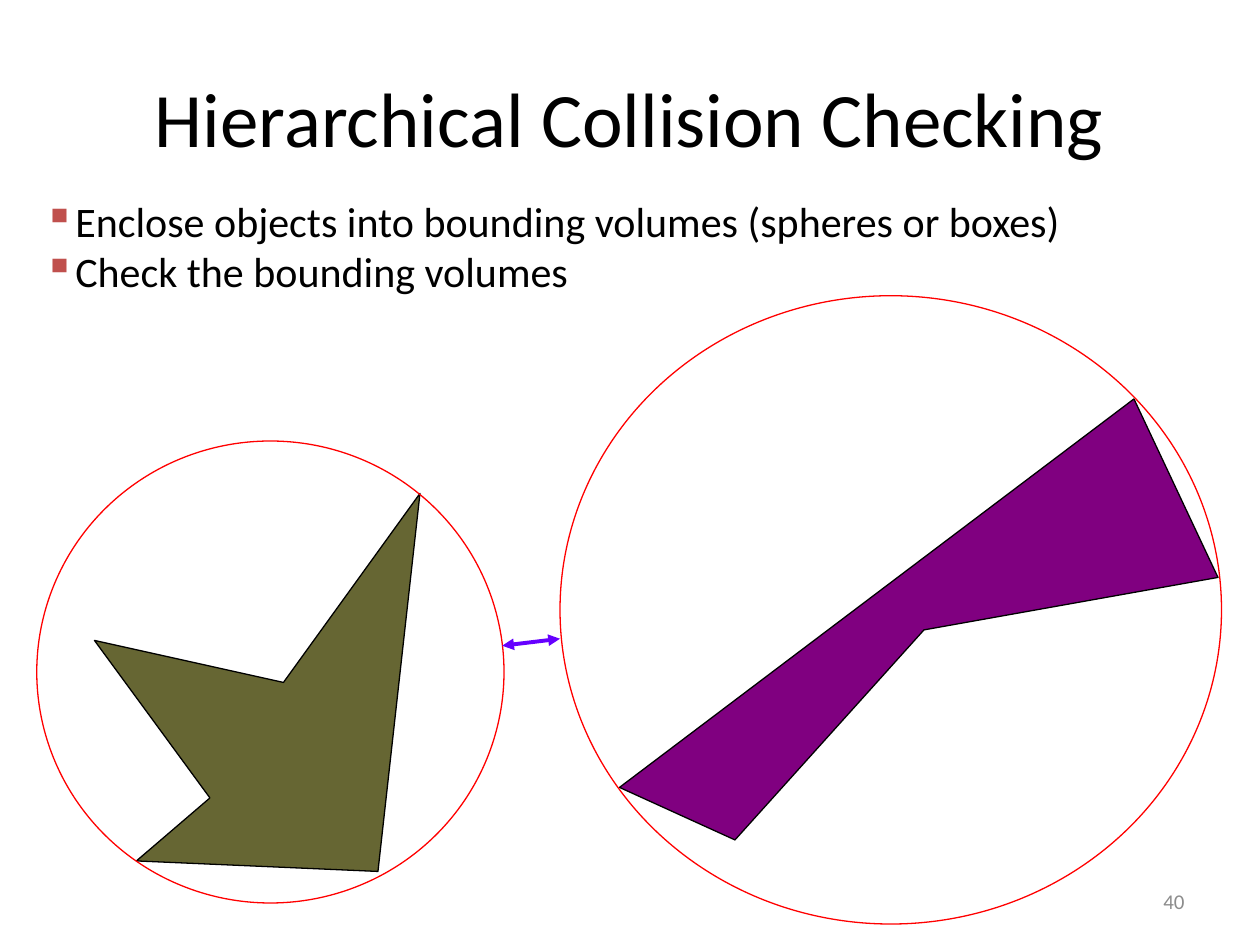
from dataclasses import dataclass

from lxml import etree
from pptx import Presentation
from pptx.dml.color import RGBColor
from pptx.enum.shapes import MSO_CONNECTOR, MSO_SHAPE
from pptx.enum.text import MSO_ANCHOR, PP_ALIGN
from pptx.oxml.ns import qn
from pptx.util import Pt

OVAL = MSO_SHAPE.OVAL
LINE = MSO_CONNECTOR.STRAIGHT
TOP, MID = MSO_ANCHOR.TOP, MSO_ANCHOR.MIDDLE
LEFT, MIDST, RIGHT = PP_ALIGN.LEFT, PP_ALIGN.CENTER, PP_ALIGN.RIGHT


@dataclass(frozen=True)
class Theme:
    font: str = "Calibri"
    ink: str = "000000"
    gray: str = "8C8C8C"
    mark: str = "C0504D"
    olive: str = "666633"
    plum: str = "800080"
    bound: str = "FF0000"
    gap: str = "6600FF"
    title: float = 44
    body: float = 24
    small: float = 12
    thin: float = 0.75
    thick: float = 2.25


THEME = Theme()


def rgb(code):
    return RGBColor.from_string(code)


def add_text(slide, box, lines, size, color, align=LEFT, anchor=TOP, wrap=True):
    frame = slide.shapes.add_textbox(*map(Pt, box)).text_frame
    frame.text = "\n".join(lines)
    frame.word_wrap = wrap
    frame.vertical_anchor = anchor
    for para in frame.paragraphs:
        para.alignment = align
        for run in para.runs:
            run.font.name = THEME.font
            run.font.size = Pt(size)
            run.font.color.rgb = rgb(color)
    return frame


def add_marks(frame, indent):
    for para in frame.paragraphs:
        props = para._p.get_or_add_pPr()
        props.set("marL", str(Pt(indent)))
        props.set("indent", str(-Pt(indent)))
        color = etree.SubElement(props, qn("a:buClr"))
        etree.SubElement(color, qn("a:srgbClr"), val=THEME.mark)
        etree.SubElement(props, qn("a:buChar"), char="▪")


def set_line(shape, color, width):
    shape.line.color.rgb = rgb(color)
    shape.line.width = Pt(width)


def add_solid(slide, points, color):
    first, *rest = [(Pt(x), Pt(y)) for x, y in points]
    pen = slide.shapes.build_freeform(*first)
    pen.add_line_segments(rest, close=True)
    shape = pen.convert_to_shape()
    shape.shadow.inherit = False
    shape.fill.solid()
    shape.fill.fore_color.rgb = rgb(color)
    set_line(shape, THEME.ink, THEME.thin)


def add_bound(slide, box):
    shape = slide.shapes.add_shape(OVAL, *map(Pt, box))
    shape.shadow.inherit = False
    shape.fill.background()
    set_line(shape, THEME.bound, THEME.thin)


def add_arrow(slide, start, end):
    arrow = slide.shapes.add_connector(LINE, *map(Pt, start + end))
    set_line(arrow, THEME.gap, THEME.thick)
    line = arrow.line._get_or_add_ln()
    for tip in ("a:headEnd", "a:tailEnd"):
        etree.SubElement(line, qn(tip), type="triangle")
    etree.SubElement(arrow._element.spPr, qn("a:effectLst"))


def main():
    deck = Presentation()
    deck.slide_width, deck.slide_height = Pt(720), Pt(540)
    slide = deck.slides.add_slide(deck.slide_layouts[6])

    # Title, page number and bullets
    add_text(slide, (36, 21.6, 648, 90), ["Hierarchical Collision Checking"],
             THEME.title, THEME.ink, MIDST, MID)
    add_text(slide, (516, 500.5, 168, 28.75), ["40"],
             THEME.small, THEME.gray, RIGHT, MID)
    notes = add_text(slide, (18, 108, 600, 65.5), [
        "Enclose objects into bounding volumes (spheres or boxes)",
        "Check the bounding volumes",
    ], THEME.body, THEME.ink, wrap=False)
    add_marks(notes, 13)

    # Objects
    add_solid(slide, [(54, 366), (120, 456), (78, 492), (216, 498),
                      (240, 282), (162, 390)], THEME.olive)
    add_solid(slide, [(420, 480), (354, 450), (648, 228), (696, 330),
                      (528, 360)], THEME.plum)

    # Bounding spheres and the distance between them
    add_bound(slide, (21, 252, 267, 264))
    add_bound(slide, (320, 169, 378, 359))
    add_arrow(slide, (287, 369), (320, 365))

    deck.save("out.pptx")


if __name__ == "__main__":
    main()
